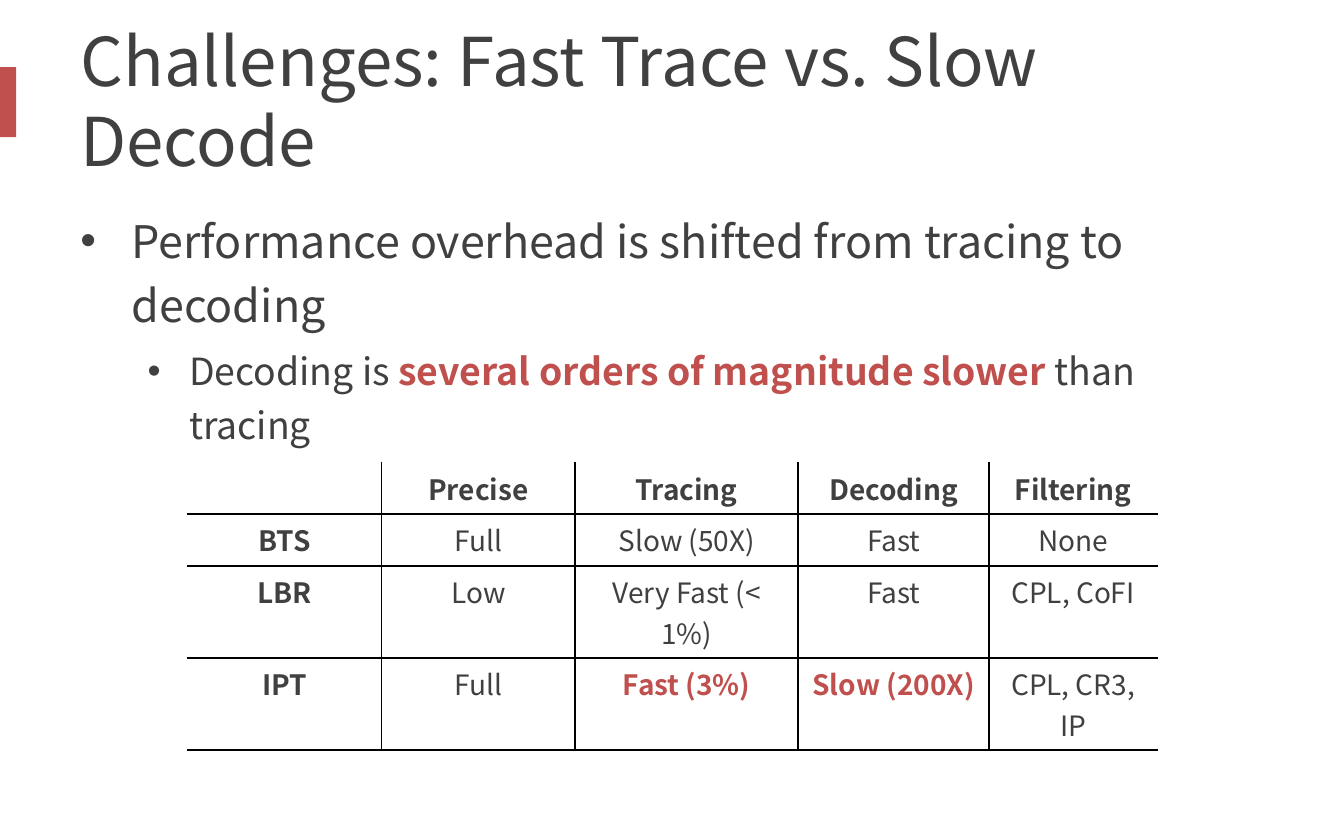
from lxml.etree import SubElement
from pptx import Presentation
from pptx.dml.color import RGBColor
from pptx.enum.shapes import MSO_SHAPE as Shape
from pptx.enum.text import MSO_ANCHOR as Anchor, PP_ALIGN as Align
from pptx.oxml import parse_xml
from pptx.oxml.ns import nsdecls, qn
from pptx.util import Inches, Pt

FONT = "Noto Sans CJK SC"
INK, ACCENT, RULE, PAPER = "404040", "C0504D", "000000", "FFFFFF"
COLS, ROWS = 100, 62.5
COL_WIDTHS = [14.4, 14.4, 16.6, 14.2, 12.5]
ROW_HEIGHTS = [3.85, 3.85, 6.85, 6.85]
TRACERS = [
    ["", "Precise", "Tracing", "Decoding", "Filtering"],
    ["BTS", "Full", "Slow (50X)", "Fast", "None"],
    ["LBR", "Low", "Very Fast (< 1%)", "Fast", "CPL, CoFI"],
    ["IPT", "Full", "Fast (3%)", "Slow (200X)", "CPL, CR3, IP"],
]
HIGHLIGHTS = {"Fast (3%)", "Slow (200X)"}


def rgb(value):
    """Turn a hex string into a colour."""
    return RGBColor.from_string(value)


def grid(*units):
    """Turn grid columns or rows, ten to the inch, into lengths."""
    return [Inches(u / 10) for u in units]


def assign(obj, values):
    """Set attributes from a dict."""
    for name, value in values.items():
        setattr(obj, name, value)


def add_run(p, text, size, color=INK, bold=False):
    """Add one formatted run to a paragraph."""
    r = p.add_run()
    r.text = text
    assign(r.font, {"name": FONT, "size": Pt(size), "bold": bold})
    r.font.color.rgb = rgb(color)


def add_bar(s, *box):
    """Add the accent bar at the slide's left edge."""
    sp = s.shapes.add_shape(Shape.RECTANGLE, *grid(*box))
    sp.shadow.inherit = False
    sp.fill.solid()
    sp.fill.fore_color.rgb = rgb(ACCENT)
    sp.line.fill.background()


def add_text(s, box, anchor=Anchor.TOP):
    """Add a wrapping text box and return its text frame."""
    tf = s.shapes.add_textbox(*grid(*box)).text_frame
    assign(tf, {"word_wrap": True, "vertical_anchor": anchor})
    return tf


def set_bullet(p, left, hang):
    """Give a paragraph a bullet with a hanging indent in inches."""
    pPr = p._p.get_or_add_pPr()
    pPr.set("marL", str(Inches(left)))
    pPr.set("indent", str(-Inches(hang)))
    SubElement(pPr, qn("a:buFont")).set("typeface", "Arial")
    SubElement(pPr, qn("a:buChar")).set("char", "•")


def set_borders(cell, colors):
    """Draw a cell's left, right, top and bottom borders."""
    tcPr = cell._tc.get_or_add_tcPr()
    for i, (side, color) in enumerate(zip("LRTB", colors)):
        tcPr.insert(i, parse_xml(
            f'<a:ln{side} {nsdecls("a")} w="{Pt(1)}"><a:solidFill>'
            f'<a:srgbClr val="{color}"/></a:solidFill></a:ln{side}>'))


def fill_cell(cell, text, bold, color):
    """Write one centred table cell."""
    margin_x, margin_y = grid(0.8, 0.4)
    assign(cell, {"margin_left": margin_x, "margin_right": margin_x,
                  "margin_top": margin_y, "margin_bottom": margin_y})
    cell.fill.background()
    p = cell.text_frame.paragraphs[0]
    p.alignment = Align.CENTER
    add_run(p, text, 15, color, bold)


def add_comparison(s, left, top):
    """Add the table that compares the tracing mechanisms."""
    n_rows, n_cols = len(ROW_HEIGHTS), len(COL_WIDTHS)
    box = grid(left, top, sum(COL_WIDTHS), sum(ROW_HEIGHTS))
    table = s.shapes.add_table(n_rows, n_cols, *box).table
    assign(table, {"first_row": False, "horz_banding": False})
    for column, width in zip(table.columns, grid(*COL_WIDTHS)):
        column.width = width
    for row, height in zip(table.rows, grid(*ROW_HEIGHTS)):
        row.height = height
    for i, texts in enumerate(TRACERS):
        for j, text in enumerate(texts):
            cell, marked = table.cell(i, j), text in HIGHLIGHTS
            fill_cell(cell, text, i == 0 or j == 0 or marked,
                      ACCENT if marked else INK)
            set_borders(cell, [PAPER if j == 0 else RULE,
                               PAPER if j == n_cols - 1 else RULE,
                               PAPER if i == 0 else RULE, RULE])


def main():
    """Build the slide."""
    prs = Presentation()
    prs.slide_width, prs.slide_height = grid(COLS, ROWS)
    s = prs.slides.add_slide(prs.slide_layouts[6])
    add_bar(s, -0.6, 5, 1.8, 5.2)

    title = add_text(s, (5, 2.5, 90, 9.8), Anchor.MIDDLE).paragraphs[0]
    add_run(title, "Challenges: Fast Trace vs. Slow Decode", 36)

    tf = add_text(s, (5, 14.6, 90, 41.2))
    point, detail = tf.paragraphs[0], tf.add_paragraph()
    assign(point, {"line_spacing": 1.2})
    assign(detail, {"line_spacing": 1.2, "space_before": Pt(4)})
    set_bullet(point, 0.38, 0.38)
    set_bullet(detail, 0.81, 0.31)
    add_run(point, "Performance overhead is shifted from tracing to decoding", 24)
    add_run(detail, "Decoding is ", 20)
    add_run(detail, "several orders of magnitude slower ", 20, ACCENT, True)
    add_run(detail, "than tracing", 20)

    add_comparison(s, 14, 34.4)
    prs.save("out.pptx")


if __name__ == "__main__":
    main()
